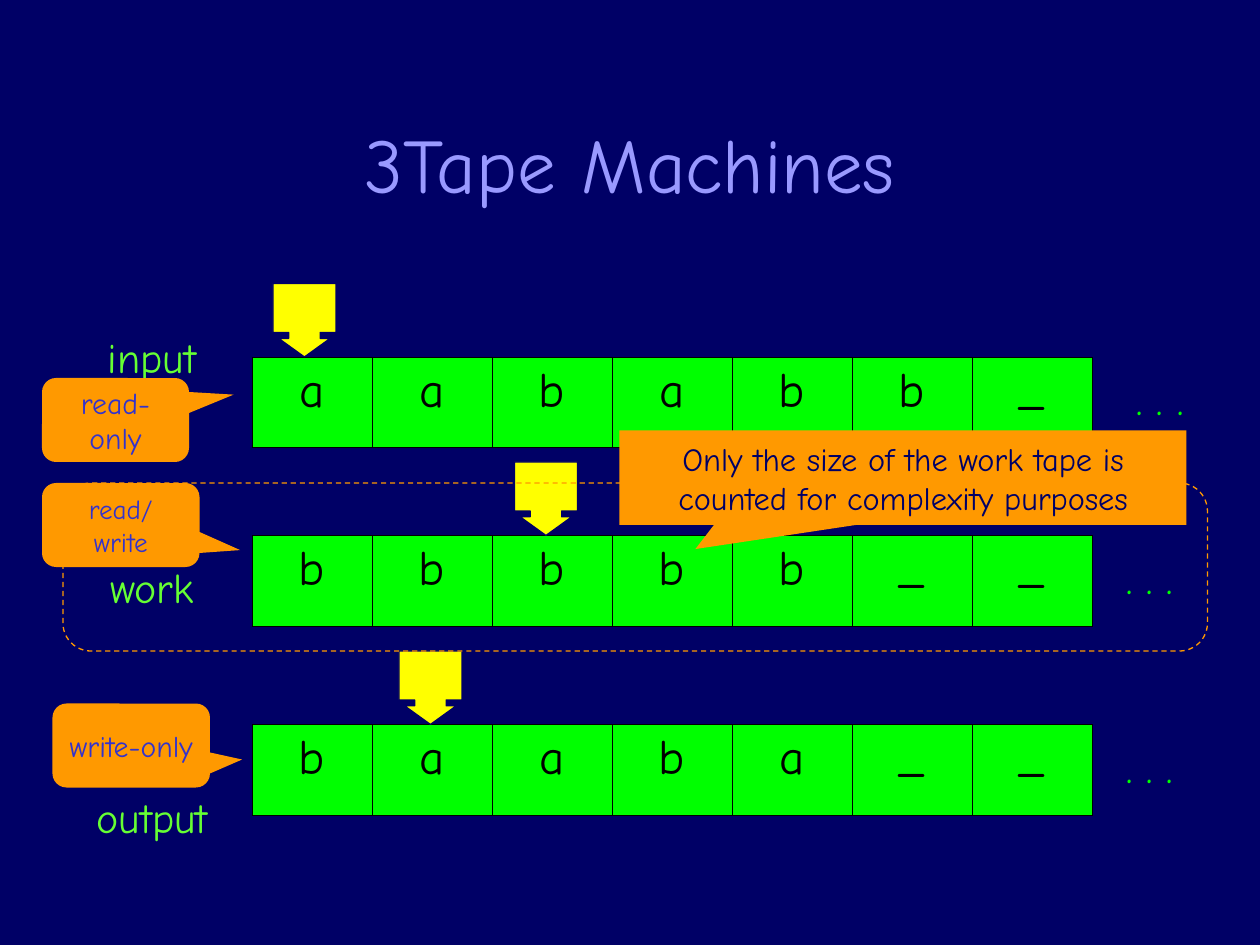
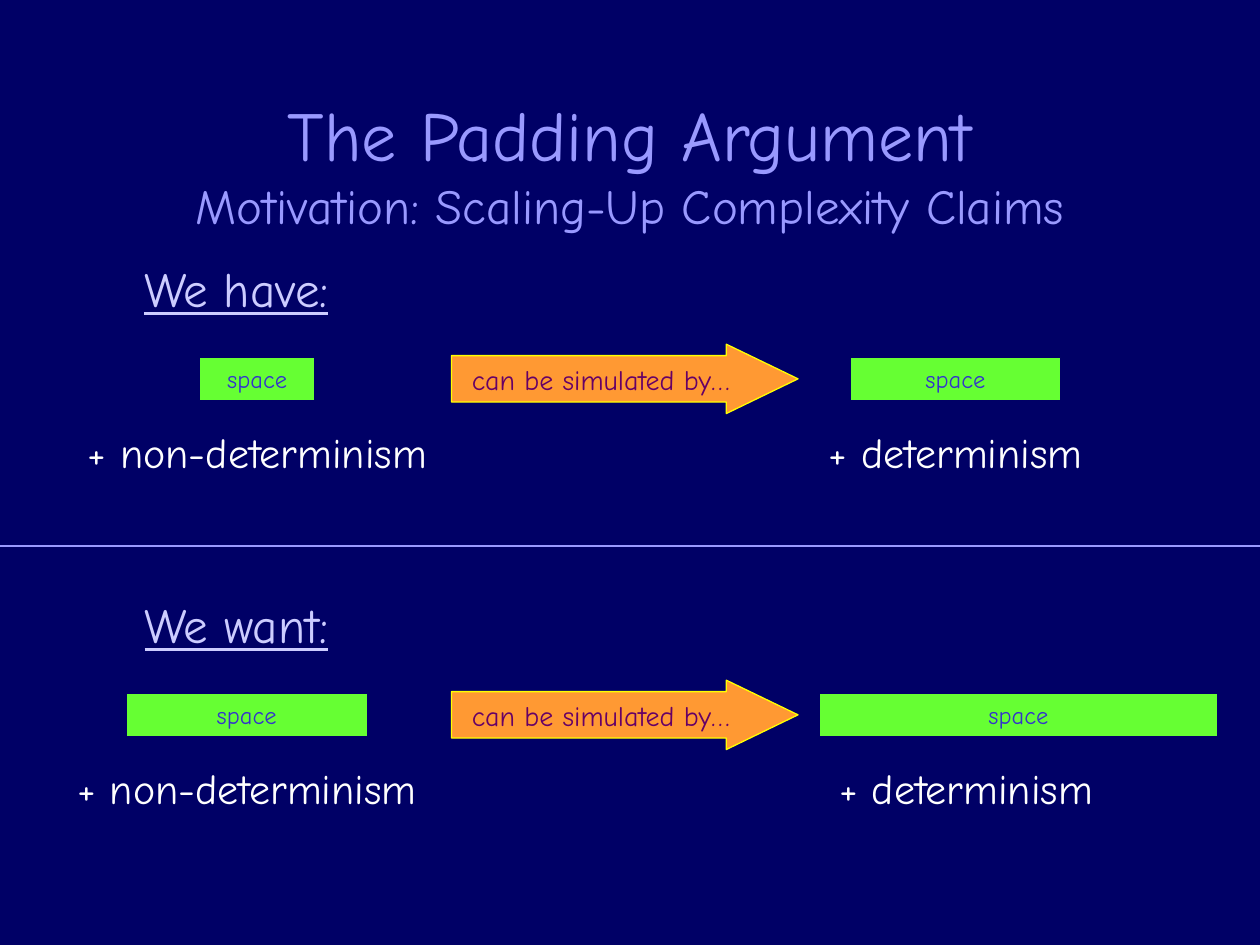
from copy import deepcopy

from lxml.etree import SubElement
from pptx import Presentation
from pptx.dml.color import RGBColor
from pptx.enum.dml import MSO_LINE
from pptx.enum.shapes import MSO_CONNECTOR, MSO_SHAPE
from pptx.enum.text import MSO_ANCHOR, MSO_AUTO_SIZE, PP_ALIGN
from pptx.oxml.ns import qn
from pptx.util import Pt

FONT = "Comic Neue"
COLORS = {
    "background": "000066",
    "title": "9999FF",
    "tape": "00FF00",
    "cell_text": "000000",
    "head": "FFFF00",
    "label": "66FF33",
    "callout": "FF9900",
    "callout_text": "3333CC",
    "arrow": "FF9933",
    "arrow_text": "660066",
    "heading": "CCCCFF",
    "note": "FFFFFF",
}
TAPE_LEFT, TAPE_WIDTH, TAPE_HEIGHT = 144, 480, 51.84
TAPES = [
    {"top": 204, "symbols": "aababb_", "head_left": 156, "dots_left": 630},
    {"top": 306, "symbols": "bbbbb__", "head_left": 294, "dots_left": 624},
    {"top": 414, "symbols": "baaba__", "head_left": 228, "dots_left": 624},
]
SECTIONS = [
    {"top": 144, "heading": "We have:",
     "sides": [(114, 66, 30, 234, "+ non-determinism"),
               (486, 120, 426, 240, "+ determinism")]},
    {"top": 336, "heading": "We want:",
     "sides": [(72, 138, 24, 234, "+ non-determinism"),
               (468, 228, 432, 240, "+ determinism")]},
]


def rgb(name):
    return RGBColor.from_string(COLORS[name])


def points(*lengths):
    return [Pt(length) for length in lengths]


def apply(target, formats):
    for name, value in formats.items():
        setattr(target, name, value)


def format_span(span, size, color, **extra):
    apply(span.font, {"name": FONT, "size": Pt(size), "bold": False, **extra})
    span.font.color.rgb = rgb(color)


def write(frame, text, size, color, gap=0, **extra):
    frame.text = text
    for index, para in enumerate(frame.paragraphs):
        apply(para, {"alignment": PP_ALIGN.CENTER,
                     "space_before": Pt(gap if index else 0)})
        for span in para.runs:
            format_span(span, size, color, **extra)
        match_breaks(para)


def match_breaks(para):
    for line_break in para._p.findall(qn("a:br")):
        line_break.append(deepcopy(para.runs[0].font._element))


def add_title(page, lines):
    title = page.shapes.title
    apply(title, dict(zip(("left", "top", "width", "height"), points(54, 48, 612, 90))))
    apply(title.text_frame, {"vertical_anchor": MSO_ANCHOR.MIDDLE,
                             "auto_size": MSO_AUTO_SIZE.NONE})
    para = title.text_frame.paragraphs[0]
    para.alignment = PP_ALIGN.CENTER
    for index, (text, size) in enumerate(lines):
        if index:
            para.add_line_break()
        span = para.add_run()
        span.text = text
        format_span(span, size, "title")
    match_breaks(para)


def add_text(page, area, text, size, color, **extra):
    box = page.shapes.add_textbox(*points(*area))
    box.text_frame.word_wrap = True
    write(box.text_frame, text, size, color, **extra)


def add_figure(page, kind, area, fill=None, line=None, adjustments=()):
    figure = page.shapes.add_shape(kind, *points(*area))
    figure.shadow.inherit = False
    for index, value in enumerate(adjustments):
        figure.adjustments[index] = value
    if fill:
        figure.fill.solid()
        figure.fill.fore_color.rgb = rgb(fill)
    else:
        figure.fill.background()
    if line:
        figure.line.color.rgb = rgb(line)
        figure.line.width = Pt(0.75)
    else:
        figure.line.fill.background()
    return figure


def add_labelled_figure(page, kind, area, text, size, color, **look):
    frame = add_figure(page, kind, area, **look).text_frame
    apply(frame, {"word_wrap": True, "vertical_anchor": MSO_ANCHOR.MIDDLE})
    write(frame, text, size, color)


def add_callout(page, area, text, size, tail):
    add_labelled_figure(page, MSO_SHAPE.ROUNDED_RECTANGULAR_CALLOUT, area, text, size,
                        "callout_text", fill="callout", adjustments=(*tail, 0.167))


def add_borders(cell):
    properties = cell._tc.get_or_add_tcPr()
    for side in ("a:lnL", "a:lnR", "a:lnT", "a:lnB"):
        border = SubElement(properties, qn(side), w=str(Pt(0.45)))
        fill = SubElement(border, qn("a:solidFill"))
        SubElement(fill, qn("a:srgbClr"), val=COLORS["cell_text"])


def add_tape(page, top, symbols, head_left, dots_left):
    area = points(TAPE_LEFT, top, TAPE_WIDTH, TAPE_HEIGHT)
    table = page.shapes.add_table(1, len(symbols), *area).table
    apply(table, {"first_row": False, "horz_banding": False})
    for column, cell, symbol in zip(table.columns, table.rows[0].cells, symbols):
        column.width = Pt(TAPE_WIDTH / len(symbols))
        add_borders(cell)
        cell.fill.solid()
        cell.fill.fore_color.rgb = rgb("tape")
        write(cell.text_frame, symbol, 28, "cell_text")
    add_figure(page, MSO_SHAPE.DOWN_ARROW_CALLOUT, (head_left, top - 42, 36, 42),
               "head", "background", (0.5, 0.41, 0.295, 0.667))
    add_text(page, (dots_left, top + 6, 66, 36), ". . .", 24, "tape")


def add_section(page, top, heading, sides):
    add_text(page, (42, top, 186, 41), heading, 28, "heading", underline=True)
    for bar_left, bar_width, note_left, note_width, note in sides:
        add_labelled_figure(page, MSO_SHAPE.RECTANGLE,
                            (bar_left, top + 60.25, bar_width, 24.5), "space", 14,
                            "callout_text", fill="label", line="background")
        add_text(page, (note_left, top + 96, note_width, 36), note, 24, "note")
    add_labelled_figure(page, MSO_SHAPE.RIGHT_ARROW, (258, top + 52.7, 198, 39.6),
                        "can be simulated by…", 16, "arrow_text",
                        fill="arrow", line="head", adjustments=(0.67, 1.034))


def add_divider(page, top):
    divider = page.shapes.add_connector(MSO_CONNECTOR.STRAIGHT, *points(0, top, 720, top))
    divider.line.color.rgb = rgb("title")
    divider.line.width = Pt(0.75)
    SubElement(divider._element.spPr, qn("a:effectLst"))


def build_tape_machines(page):
    add_title(page, [("3Tape Machines", 44)])
    for tape in TAPES:
        add_tape(page, **tape)
    add_text(page, (0, 186, 174, 299), "input\nwork\noutput", 24, "label", gap=102.6)
    add_callout(page, (24, 216, 84, 48), "read-only", 17, (0.804, -0.302))
    add_callout(page, (30, 402, 90, 48), "write-only", 17, (0.704, 0.167))
    frame = add_figure(page, MSO_SHAPE.ROUNDED_RECTANGLE, (36, 276, 654, 96),
                       line="callout", adjustments=(0.167,))
    frame.line.dash_style = MSO_LINE.DASH
    add_callout(page, (24, 276, 90, 48), "read/\vwrite", 15.5, (0.758, 0.299))
    add_labelled_figure(page, MSO_SHAPE.RECTANGULAR_CALLOUT, (354, 246, 324, 54),
                        "Only the size of the work tape is counted for complexity purposes",
                        18.5, "background", fill="callout", adjustments=(-0.366, 0.755))


def build_padding_argument(page):
    add_title(page, [("The Padding Argument", 40),
                     ("Motivation: Scaling-Up Complexity Claims", 28)])
    for section in SECTIONS:
        add_section(page, **section)
    add_divider(page, 312)


def main():
    deck = Presentation()
    apply(deck, {"slide_width": Pt(720), "slide_height": Pt(540)})
    background = deck.slide_master.background.fill
    background.solid()
    background.fore_color.rgb = rgb("background")
    title_only = deck.slide_layouts[5]
    for build in (build_tape_machines, build_padding_argument):
        build(deck.slides.add_slide(title_only))
    deck.save("out.pptx")


if __name__ == "__main__":
    main()
